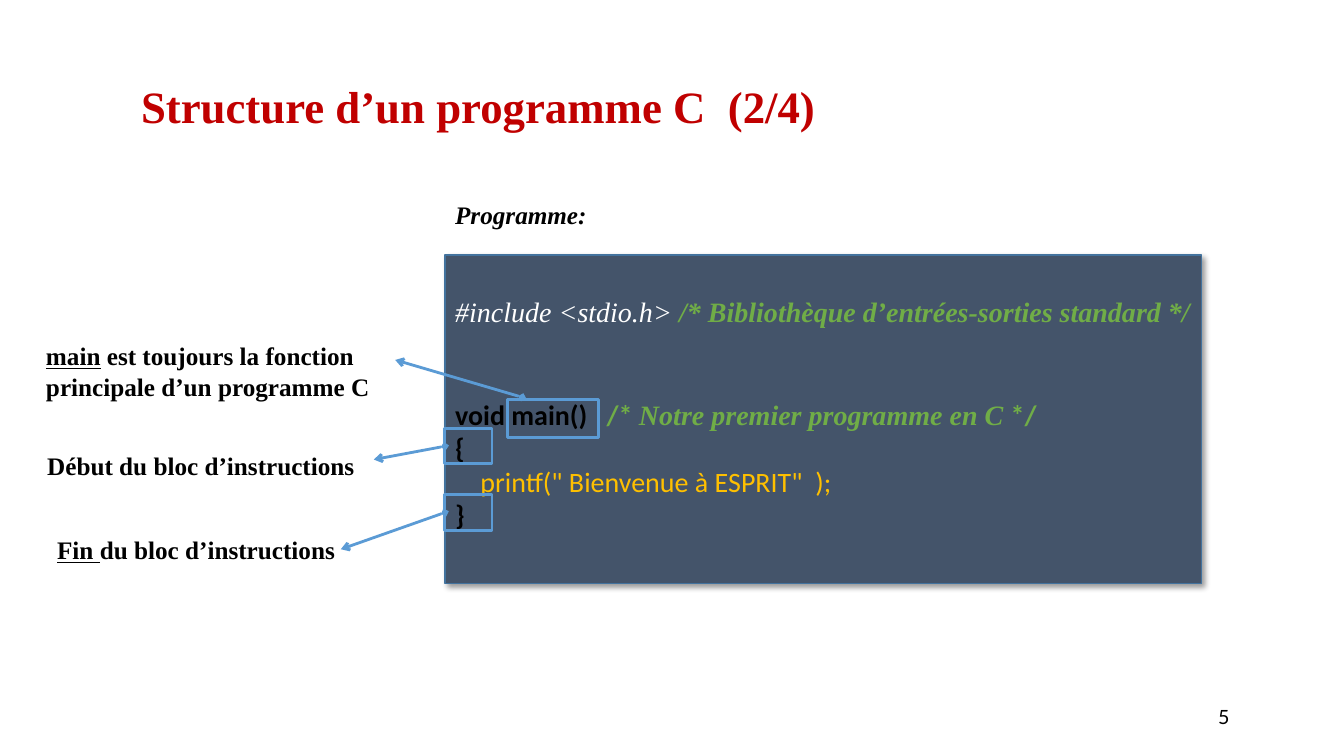
from pptx import Presentation
from pptx.dml.color import RGBColor
from pptx.enum.shapes import MSO_CONNECTOR, MSO_SHAPE
from pptx.enum.text import MSO_ANCHOR, PP_ALIGN
from pptx.oxml import parse_xml
from pptx.oxml.ns import nsdecls
from pptx.util import Cm, Pt

COLORS = {
    "title": "C00000",
    "text": "000000",
    "panel": "44546A",
    "panel_line": "43739E",
    "marker": "5B9BD5",
    "comment": "70AD47",
    "string": "FFC000",
    "include": "FFFFFF",
}
SERIF = "Times New Roman"
SANS = "Calibri"


def color(name):
    return RGBColor.from_string(COLORS[name])


def effect(content=""):
    return parse_xml(f'<a:effectLst {nsdecls("a")}>{content}</a:effectLst>')


def format_run(run, font_name, size, color_name, bold=False, italic=False, underline=False):
    font = run.font
    font.name, font.size = font_name, Pt(size)
    font.color.rgb = color(color_name)
    font.bold, font.italic, font.underline = bold, italic, underline


def write_runs(paragraph, runs):
    paragraph.alignment = PP_ALIGN.LEFT
    for text, *style in runs:
        run = paragraph.add_run()
        run.text = text
        format_run(run, *style)


def add_title(slide, text):
    title = slide.shapes.title
    title.left, title.top, title.width, title.height = Cm(3.3), Cm(1.7), Cm(22.86), Cm(2.11)
    frame = title.text_frame
    frame.text = text
    frame.vertical_anchor = MSO_ANCHOR.MIDDLE
    paragraph = frame.paragraphs[0]
    paragraph.alignment = PP_ALIGN.LEFT
    paragraph.line_spacing = 0.9
    format_run(paragraph.runs[0], SERIF, 32, "title", True)


def add_label(slide, left, top, width, height, runs, anchor=MSO_ANCHOR.TOP):
    box = slide.shapes.add_textbox(Cm(left), Cm(top), Cm(width), Cm(height))
    frame = box.text_frame
    frame.word_wrap = True
    frame.vertical_anchor = anchor
    write_runs(frame.paragraphs[0], runs)


def add_code_panel(slide, lines):
    panel = slide.shapes.add_shape(MSO_SHAPE.RECTANGLE, Cm(11.22), Cm(6.43), Cm(19.06), Cm(8.28))
    panel.fill.solid()
    panel.fill.fore_color.rgb = color("panel")
    panel.line.color.rgb = color("panel_line")
    panel.line.width = Pt(1)
    panel.shadow.inherit = False
    properties = panel.fill._xPr
    properties.remove(properties.find("{*}effectLst"))
    properties.append(effect(
        '<a:outerShdw blurRad="50800" dist="38100" dir="2700000" algn="tl" rotWithShape="0">'
        '<a:srgbClr val="000000"><a:alpha val="40000"/></a:srgbClr></a:outerShdw>'))
    frame = panel.text_frame
    frame.word_wrap = True
    frame.vertical_anchor = MSO_ANCHOR.TOP
    frame.margin_top, frame.margin_right = Cm(1), Cm(0)
    for index, (space_before, runs) in enumerate(lines):
        paragraph = frame.add_paragraph() if index else frame.paragraphs[0]
        if space_before:
            paragraph.space_before = Pt(space_before)
        write_runs(paragraph, runs)


def add_marker(slide, left, top, width, height):
    marker = slide.shapes.add_shape(MSO_SHAPE.RECTANGLE, Cm(left), Cm(top), Cm(width), Cm(height))
    marker.fill.background()
    marker.line.color.rgb = color("marker")
    marker.line.width = Pt(2)
    marker.shadow.inherit = False
    return marker


def add_arrow(slide, start_x, start_y, end_x, end_y, marker=None):
    arrow = slide.shapes.add_connector(
        MSO_CONNECTOR.STRAIGHT, Cm(start_x), Cm(start_y), Cm(end_x), Cm(end_y))
    if marker is not None:
        arrow.begin_connect(marker, 1)
    arrow.line.color.rgb = color("marker")
    arrow.line.width = Pt(2)
    outline = arrow.line._get_or_add_ln()
    for end, kind in (("headEnd", "diamond"), ("tailEnd", "arrow")):
        outline.append(parse_xml(f'<a:{end} {nsdecls("a")} type="{kind}"/>'))
    arrow._element.spPr.append(effect())


def main():
    presentation = Presentation()
    presentation.slide_width, presentation.slide_height = Cm(33.87), Cm(19.05)
    slide = presentation.slides.add_slide(presentation.slide_layouts[5])

    add_title(slide, "Structure d’un programme C  (2/4)")
    add_label(slide, 30.45, 17.42, 2.74, 1.27, [("5", "Lato", 14, "text")], MSO_ANCHOR.MIDDLE)

    add_code_panel(slide, [
        (0, [("#include <stdio.h> ", SERIF, 20, "include", False, True),
             ("/* Bibliothèque d’entrées-sorties standard */", SERIF, 20, "comment", True, True)]),
        (49, [("void main()   ", SANS, 20, "text", True),
              ("/* ", SANS, 20, "comment", True),
              ("Notre premier programme en C ", SERIF, 20, "comment", True, True),
              ("*/", SANS, 20, "comment", True)]),
        (0, [("{", SANS, 20, "text", True)]),
        (0, [("    printf(\" Bienvenue à ESPRIT\"  );", SANS, 20, "string")]),
        (0, [("}", SANS, 20, "text", True)]),
    ])

    bold = (SERIF, 18, "text", True)
    underlined = (*bold, False, True)
    add_label(slide, 11.22, 4.9, 3.86, 1.02, [("Programme:", *bold, True)])
    add_label(slide, 0.91, 8.46, 9.19, 1.8, [
        ("main", *underlined), (" est toujours la fonction principale d’un programme C", *bold)])
    add_label(slide, 0.94, 11.23, 8.51, 1.02, [("Début du bloc d’instructions", *bold)])
    add_label(slide, 1.19, 13.34, 7.9, 1.02, [
        ("Fin ", *underlined), ("du bloc d’instructions", *bold)])

    add_marker(slide, 12.8, 10.06, 2.29, 0.97)
    add_arrow(slide, 13.16, 10.01, 9.96, 9.07)
    for top, end_x, end_y in ((10.8, 9.42, 11.58), (12.47, 8.59, 13.84)):
        brace = add_marker(slide, 11.21, top, 1.19, 0.89)
        add_arrow(slide, 11.21, top + 0.44, end_x, end_y, brace)

    presentation.save("out.pptx")


if __name__ == "__main__":
    main()
